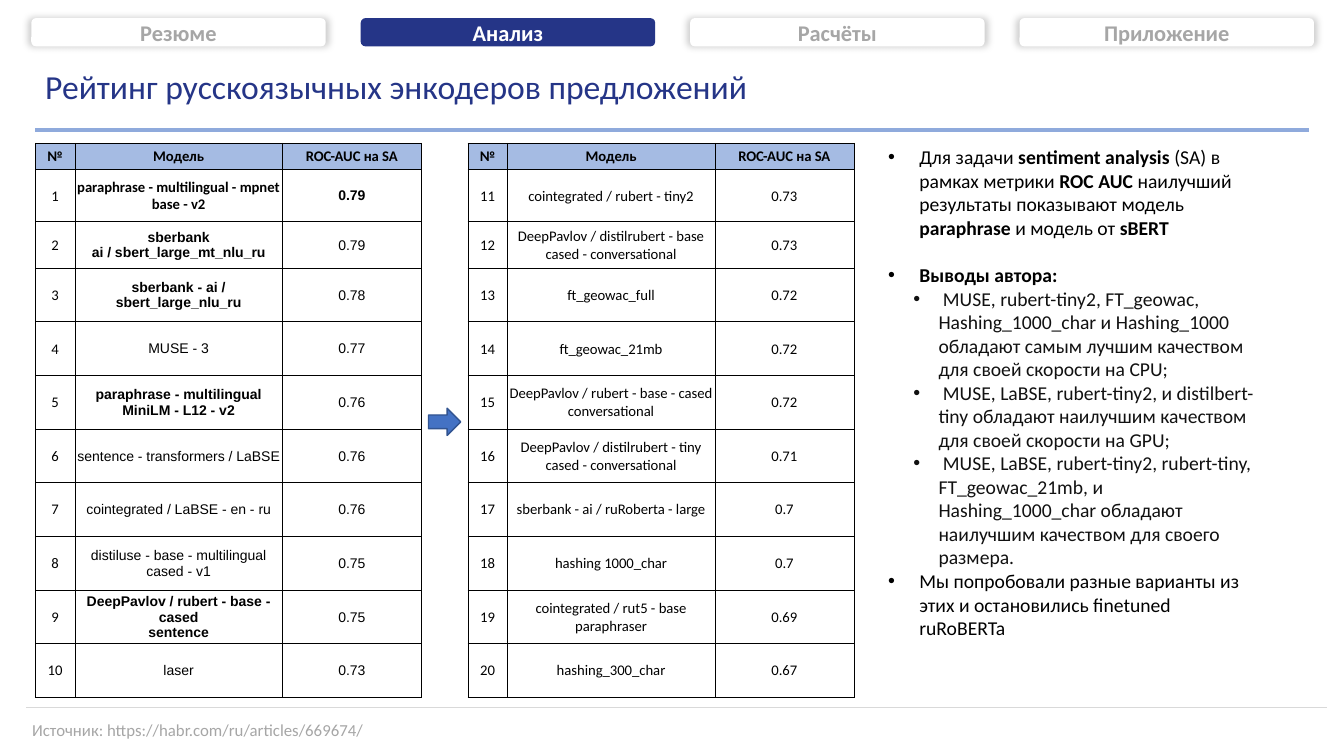
from dataclasses import dataclass

from lxml.etree import SubElement
from pptx import Presentation
from pptx.dml.color import RGBColor
from pptx.enum.shapes import MSO_CONNECTOR, MSO_SHAPE
from pptx.enum.text import MSO_ANCHOR, PP_ALIGN
from pptx.oxml import parse_xml
from pptx.oxml.ns import nsdecls, qn
from pptx.util import Inches, Pt

SLIDE_W, SLIDE_H = Inches(13.33), Inches(7.5)
COLORS = {
    "navy": "253587", "white": "FFFFFF", "grey": "A6A6A6", "rule": "D9D9D9",
    "sky": "8FAADC", "header": "A5BBE3", "black": "000000", "ink": "111111",
    "arrow": "4472C4", "arrow_edge": "325491",
}


@dataclass(frozen=True)
class Tab:
    name: str
    active: bool = False


@dataclass(frozen=True)
class Model:
    name: str
    score: str
    bold: bool = False
    font: str = "Calibri"
    bold_score: bool = False


@dataclass(frozen=True)
class Bullet:
    phrases: tuple[str, ...]
    level: int = 0
    starts_bold: bool = False
    gap: float = 0
    color: str = "black"


TABS = [Tab("Резюме"), Tab("Анализ", True), Tab("Расчёты"), Tab("Приложение")]
TOP_TEN = [
    Model("paraphrase - multilingual - mpnet\vbase - v2", "0.79", True, "Calibri", True),
    Model("sberbank\vai / sbert_large_mt_nlu_ru", "0.79", True, "Arial"),
    Model("sberbank - ai / sbert_large_nlu_ru", "0.78", True, "Arial"),
    Model("MUSE - 3", "0.77", False, "Arial"),
    Model("paraphrase - multilingual\vMiniLM - L12 - v2", "0.76", True, "Arial"),
    Model("sentence - transformers / LaBSE", "0.76", False, "Arial"),
    Model("cointegrated / LaBSE - en - ru", "0.76", False, "Arial"),
    Model("distiluse - base - multilingual\vcased - v1", "0.75", False, "Arial"),
    Model("DeepPavlov / rubert - base - cased\vsentence", "0.75", True, "Arial"),
    Model("laser", "0.73", False, "Arial"),
]
NEXT_TEN = [
    Model("cointegrated / rubert - tiny2", "0.73"),
    Model("DeepPavlov / distilrubert - base\vcased - conversational", "0.73"),
    Model("ft_geowac_full", "0.72"),
    Model("ft_geowac_21mb", "0.72"),
    Model("DeepPavlov / rubert - base - cased\vconversational", "0.72"),
    Model("DeepPavlov / distilrubert - tiny\vcased - conversational", "0.71"),
    Model("sberbank - ai / ruRoberta - large", "0.7"),
    Model("hashing 1000_char", "0.7"),
    Model("cointegrated / rut5 - base\vparaphraser", "0.69"),
    Model("hashing_300_char", "0.67"),
]
BULLETS = [
    Bullet(("Для задачи ", "sentiment analysis ", "(SA) в рамках метрики ", "ROC AUC ",
            "наилучший результаты показывают модель ", "paraphrase ", "и модель от ", "sBERT")),
    Bullet(("Выводы автора:",), starts_bold=True, gap=17),
    Bullet((" MUSE, rubert-tiny2, FT_geowac, Hashing_1000_char и Hashing_1000 обладают "
            "самым лучшим качеством для своей скорости на CPU;",), 1, color="ink"),
    Bullet((" MUSE, LaBSE, rubert-tiny2, и distilbert-tiny обладают наилучшим качеством "
            "для своей скорости на GPU;",), 1, color="ink"),
    Bullet((" MUSE, LaBSE, rubert-tiny2, rubert-tiny, FT_geowac_21mb, и Hashing_1000_char "
            "обладают наилучшим качеством для своего размера.",), 1, color="ink"),
    Bullet(("Мы попробовали разные варианты из этих и остановились finetuned ruRoBERTa",)),
]
HEADERS = ("№", "Модель", "ROC-AUC на SA")
COLUMN_SHARES = (2.94, 15.44, 10.35)
ROW_SHARES = (3.47, 6.93, 6.13) + (7.1,) * 8
INDENTS = ((0.31, -0.31), (0.5, -0.25))


def across(percent: float) -> int:
    return round(SLIDE_W * percent / 100)


def down(percent: float) -> int:
    return round(SLIDE_H * percent / 100)


def area(x: float, y: float, w: float, h: float) -> tuple[int, int, int, int]:
    return across(x), down(y), across(w), down(h)


def rgb(color: str) -> RGBColor:
    return RGBColor.from_string(COLORS[color])


def style(p, size: float, color: str, bold: bool = False, font: str = "Calibri") -> None:
    for r in p.runs:
        r.font.size, r.font.name, r.font.bold = Pt(size), font, bold
        r.font.color.rgb = rgb(color)


def add_rule(s, x1: float, x2: float, y: float, color: str, width: float) -> None:
    line = s.shapes.add_connector(MSO_CONNECTOR.STRAIGHT, across(x1), down(y), across(x2), down(y))
    line.line.color.rgb, line.line.width = rgb(color), Pt(width)
    SubElement(line._element.spPr, qn("a:effectLst"))


def add_label(s, box: tuple, text: str, size: float, color: str) -> None:
    tf = s.shapes.add_textbox(*box).text_frame
    tf.word_wrap = True
    tf.text = text
    style(tf.paragraphs[0], size, color)


def add_tab(s, index: int, tab: Tab) -> None:
    sp = s.shapes.add_shape(MSO_SHAPE.ROUNDED_RECTANGLE, *area(2.33 + 24.51 * index, 2.4, 21.91, 3.73))
    sp.shadow.inherit = False
    sp.fill.solid()
    sp.fill.fore_color.rgb = rgb("navy" if tab.active else "white")
    sp.line.fill.background()
    if not tab.active:
        glow = parse_xml(
            f'<a:outerShdw {nsdecls("a")} blurRad="63500" sx="102000" sy="102000" algn="ctr" '
            'rotWithShape="0"><a:srgbClr val="000000"><a:alpha val="20000"/></a:srgbClr></a:outerShdw>')
        sp._element.spPr.find(qn("a:effectLst")).append(glow)
    tf = sp.text_frame
    tf.vertical_anchor = MSO_ANCHOR.MIDDLE
    tf.text = tab.name
    tf.paragraphs[0].alignment = PP_ALIGN.CENTER
    style(tf.paragraphs[0], 16, "white" if tab.active else "grey", True)


def fill_cell(cell, text: str, size: float, bold: bool, font: str, header: bool) -> None:
    cell.margin_left = cell.margin_right = cell.margin_top = Inches(0.01)
    cell.margin_bottom = 0
    cell.vertical_anchor = MSO_ANCHOR.MIDDLE
    cell.text_frame.text = text
    p = cell.text_frame.paragraphs[0]
    p.alignment = PP_ALIGN.CENTER
    style(p, size, "black", bold, font)
    tc_pr = cell._tc.get_or_add_tcPr()
    for side in ("lnL", "lnR", "lnT", "lnB"):
        edge = SubElement(tc_pr, qn(f"a:{side}"), w=str(Pt(0.5)))
        SubElement(SubElement(edge, qn("a:solidFill")), qn("a:srgbClr"), val=COLORS["black"])
    if header:
        cell.fill.solid()
        cell.fill.fore_color.rgb = rgb("header")
    else:
        cell.fill.background()


def add_rating(s, x: float, first: int, models: list[Model]) -> None:
    box = area(x, 18.93, sum(COLUMN_SHARES), sum(ROW_SHARES))
    table = s.shapes.add_table(len(ROW_SHARES), len(COLUMN_SHARES), *box).table
    table.first_row = table.horz_banding = False
    for column, share in zip(table.columns, COLUMN_SHARES):
        column.width = across(share)
    for row, share in zip(table.rows, ROW_SHARES):
        row.height = down(share)
    for c, header in enumerate(HEADERS):
        fill_cell(table.cell(0, c), header, 10.5, True, "Calibri", True)
    score_font = models[-1].font
    for r, m in enumerate(models, 1):
        entries = ((str(first + r - 1), False, "Calibri"), (m.name, m.bold, m.font),
                   (m.score, m.bold_score, score_font))
        for c, (text, bold, font) in enumerate(entries):
            fill_cell(table.cell(r, c), text, 10 if font == "Arial" else 10.5, bold, font, False)


def add_findings(s, bullets: list[Bullet]) -> None:
    tf = s.shapes.add_textbox(*area(65.34, 18.53, 28.96, 73.6)).text_frame
    tf.word_wrap = True
    for i, bullet in enumerate(bullets):
        p = tf.add_paragraph() if i else tf.paragraphs[0]
        p.level = bullet.level
        if bullet.gap:
            p.space_before = Pt(bullet.gap)
        margin, indent = INDENTS[bullet.level]
        p_pr = p._p.get_or_add_pPr()
        p_pr.set("marL", str(Inches(margin)))
        p_pr.set("indent", str(Inches(indent)))
        SubElement(p_pr, qn("a:buFont"), typeface="Arial")
        SubElement(p_pr, qn("a:buChar"), char="•")
        for phrase in bullet.phrases:
            p.add_run().text = phrase
        style(p, 14, bullet.color)
        for n, r in enumerate(p.runs):
            r.font.bold = (n % 2 == 1) != bullet.starts_bold


def main() -> None:
    prs = Presentation()
    prs.slide_width, prs.slide_height = SLIDE_W, SLIDE_H
    s = prs.slides.add_slide(prs.slide_layouts[6])
    add_rule(s, 1.95, 98.72, 93.6, "rule", 1)
    add_label(s, area(1.65, 94.53, 90.25, 4), "Источник: https://habr.com/ru/articles/669674/", 12, "grey")
    for i, tab in enumerate(TABS):
        add_tab(s, i, tab)
    add_rule(s, 2.63, 97.37, 17.2, "sky", 2.25)
    add_label(s, area(2.63, 8, 95.05, 6.67), "Рейтинг русскоязычных энкодеров предложений", 24, "navy")
    add_rating(s, 2.63, 1, TOP_TEN)
    add_rating(s, 34.81, 11, NEXT_TEN)
    arrow = s.shapes.add_shape(MSO_SHAPE.RIGHT_ARROW, *area(31.88, 54, 2.4, 3.6))
    arrow.shadow.inherit = False
    arrow.fill.solid()
    arrow.fill.fore_color.rgb = rgb("arrow")
    arrow.line.color.rgb, arrow.line.width = rgb("arrow_edge"), Pt(1)
    add_findings(s, BULLETS)
    prs.save("out.pptx")


if __name__ == "__main__":
    main()
